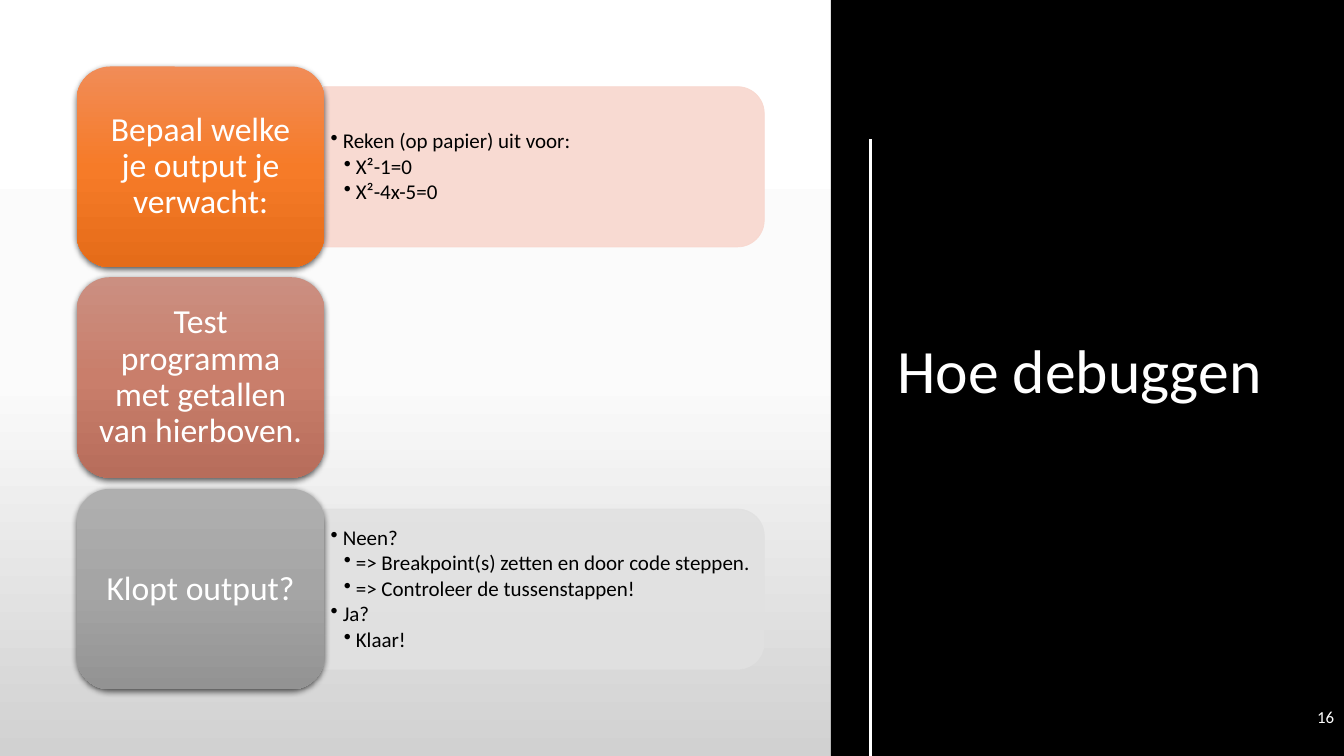
from lxml.etree import SubElement
from pptx import Presentation
from pptx.dml.color import RGBColor
from pptx.enum.shapes import MSO_CONNECTOR, MSO_SHAPE
from pptx.enum.text import MSO_ANCHOR, MSO_AUTO_SIZE, PP_ALIGN
from pptx.oxml.ns import qn
from pptx.util import Emu, Pt

WHITE = RGBColor(0xFF, 0xFF, 0xFF)
BLACK = RGBColor(0x00, 0x00, 0x00)
PINK = RGBColor(0xF8, 0xD7, 0xCE)
SILVER = RGBColor(0xE1, 0xE1, 0xE1)
PAPER = (WHITE, RGBColor(0xFB, 0xFB, 0xFB), RGBColor(0xD1, 0xD1, 0xD1))
ORANGE = (RGBColor(0xF1, 0x8C, 0x57), RGBColor(0xF6, 0x7B, 0x28), RGBColor(0xE5, 0x6C, 0x19))
BRICK = (RGBColor(0xCB, 0x8F, 0x81), RGBColor(0xC9, 0x7E, 0x6B), RGBColor(0xB7, 0x6D, 0x5B))
GRAY = (RGBColor(0xAF, 0xAF, 0xAF), RGBColor(0xA5, 0xA5, 0xA5), RGBColor(0x93, 0x93, 0x93))

# Card text, card gradient, bar colour, bullets as (level, text)
STEPS = [
    ("Bepaal welke je output je verwacht:", ORANGE, PINK, [
        (0, "Reken (op papier) uit voor:"),
        (1, "X²-1=0"),
        (1, "X²-4x-5=0"),
    ]),
    ("Test programma met getallen van hierboven.", BRICK, None, []),
    ("Klopt output?", GRAY, SILVER, [
        (0, "Neen?"),
        (1, "=> Breakpoint(s) zetten en door code steppen."),
        (1, "=> Controleer de tussenstappen!"),
        (0, "Ja?"),
        (1, "Klaar!"),
    ]),
]


def px(*sizes):
    """Turn px, 100 to the inch, into EMU."""
    return [Emu(size * 9144) for size in sizes]


def add(parent, tag, **attrs):
    return SubElement(parent, qn(tag), {key: str(val) for key, val in attrs.items()})


def blend(fill, root, tones):
    """Fill with an even gradient from top to bottom."""
    fill.gradient()
    grad = root.find(".//" + qn("a:gradFill"))
    for child in list(grad):
        grad.remove(child)
    stops = add(grad, "a:gsLst")
    for i, tone in enumerate(tones):
        stop = add(stops, "a:gs", pos=100000 * i // (len(tones) - 1))
        add(stop, "a:srgbClr", val=tone)
    add(grad, "a:lin", ang=5400000, scaled=0)


def write(frame, items, size=15, color=WHITE, align=PP_ALIGN.LEFT,
          after=0, leading=0.9, bullet=False):
    """Write (level, text) items as paragraphs of the frame."""
    frame.word_wrap = True
    frame.auto_size = MSO_AUTO_SIZE.NONE
    frame.vertical_anchor = MSO_ANCHOR.MIDDLE
    for i, (level, text) in enumerate(items):
        para = frame.paragraphs[0] if i == 0 else frame.add_paragraph()
        para.level = level
        para.alignment = align
        para.line_spacing = leading
        para.space_before = Pt(0)
        para.space_after = Pt(after)
        if bullet:
            left, hang = px(12 + 13 * level, -12)
            props = para._p.get_or_add_pPr()
            props.set("marL", str(left))
            props.set("indent", str(hang))
            add(props, "a:buChar", char="•")
        run = para.add_run()
        run.text = text
        run.font.name = "Calibri"
        run.font.size = Pt(size)
        run.font.color.rgb = color


class Deck:
    def __init__(self):
        self.prs = Presentation()
        self.prs.slide_width, self.prs.slide_height = px(1333, 750)
        self.slide = self.prs.slides.add_slide(self.prs.slide_layouts[5])
        self.shapes = self.slide.shapes
        blend(self.slide.background.fill, self.slide.element, PAPER)

    def block(self, kind, box, color=None):
        shape = self.shapes.add_shape(kind, *px(*box))
        shape.shadow.inherit = False
        shape.line.fill.background()
        if color is not None:
            shape.fill.solid()
            shape.fill.fore_color.rgb = color
        return shape

    def title(self, text, box):
        title = self.shapes.title
        title.left, title.top, title.width, title.height = px(*box)
        write(title.text_frame, [(0, text)], size=44)

    def text(self, items, box, pad=None, **style):
        frame = self.shapes.add_textbox(*px(*box)).text_frame
        if pad:
            frame.margin_left, frame.margin_top = px(*pad)
            frame.margin_right, frame.margin_bottom = px(*pad)
        write(frame, items, **style)

    def rule(self, x, top, end):
        line = self.shapes.add_connector(MSO_CONNECTOR.STRAIGHT, *px(x, top, x, end))
        line.line.color.rgb = WHITE
        line.line.width = Pt(2)
        add(line.element.spPr, "a:effectLst")

    def bar(self, box, color):
        """Draw a slightly clear bar, turned so its right side is round."""
        bar = self.block(MSO_SHAPE.ROUND_2_SAME_RECTANGLE, box, color)
        bar.rotation = 90
        bar.line.color.rgb = color
        bar.line.width = Pt(0.5)
        for tone in bar.element.spPr.iter(qn("a:srgbClr")):
            add(tone, "a:alpha", val=90000)

    def card(self, text, box, tones):
        card = self.block(MSO_SHAPE.ROUNDED_RECTANGLE, box)
        blend(card.fill, card.element, tones)
        glow = card.element.spPr.find(qn("a:effectLst"))
        shade = add(glow, "a:outerShdw", blurRad=Pt(4.5), dist=Pt(1.5),
                    dir=5400000, algn="ctr", rotWithShape=0)
        add(add(shade, "a:srgbClr", val=BLACK), "a:alpha", val=63000)
        write(card.text_frame, [(0, text)], size=24, align=PP_ALIGN.CENTER, after=8)


def main():
    deck = Deck()
    panel = deck.block(MSO_SHAPE.RECTANGLE, (824, 0, 509, 750), BLACK)
    deck.shapes.title.element.addprevious(panel.element)
    deck.title("Hoe debuggen", (880, 138, 383, 465))
    deck.rule(863, 138, 750)
    deck.text([(0, "16")], (1282, 691, 51, 40), size=12,
              align=PP_ALIGN.RIGHT, after=6, leading=1.0)
    for i, (name, tones, color, points) in enumerate(STEPS):
        top = 66 + 419 * i // 2
        if points:
            deck.bar((460, top - 119, 159, 437), color)
            deck.text(points, (322, top + 28, 430, 144), pad=(6, 3),
                      color=BLACK, after=2, bullet=True)
        deck.card(name, (76, top, 246, 199), tones)
    deck.prs.save("out.pptx")


if __name__ == "__main__":
    main()
